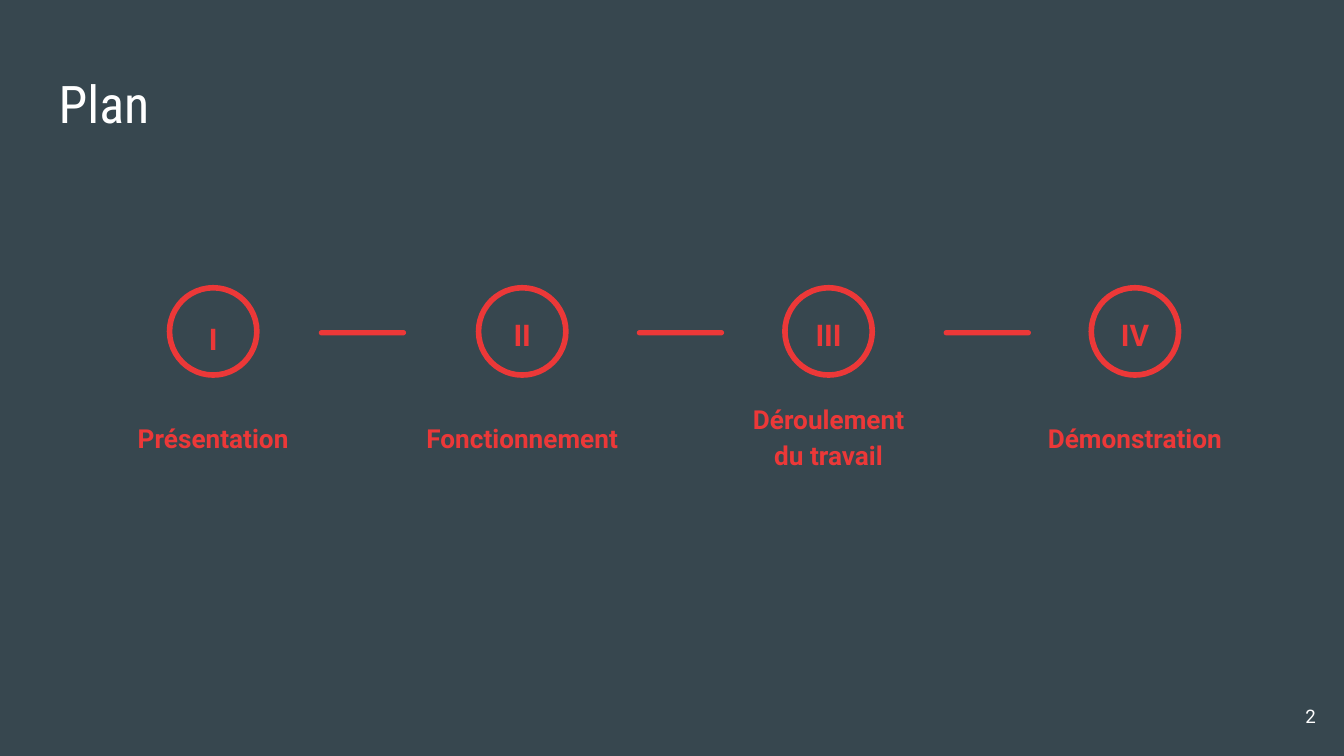
from dataclasses import dataclass

from pptx import Presentation
from pptx import util as u
from pptx.dml.color import RGBColor
from pptx.enum import shapes, text


@dataclass(frozen=True)
class Theme:
    background: RGBColor = RGBColor(0x37, 0x47, 0x4F)
    accent: RGBColor = RGBColor(0xEC, 0x38, 0x38)
    light: RGBColor = RGBColor(0xFF, 0xFF, 0xFF)
    title_size: float = 27.8
    numeral_size: float = 16
    label_size: float = 14
    page_size: float = 10


theme = Theme()


def write(sp, words, size, color, align, anchor, spacing, font="Roboto", bold=False):
    """Fill a text shape with one run, using equal insets on all sides."""
    tf = sp.text_frame
    tf.word_wrap = True
    tf.auto_size = text.MSO_AUTO_SIZE.NONE
    tf.vertical_anchor = anchor
    tf.margin_left = tf.margin_right = tf.margin_top = tf.margin_bottom = u.Cm(0.25)
    p = tf.paragraphs[0]
    p.alignment = align
    p.line_spacing = spacing
    r = p.add_run()
    r.text = words
    r.font.name = font
    r.font.size = u.Pt(size)
    r.font.bold = bold
    r.font.color.rgb = color


def centred(center, top, width, height):
    return u.Cm(center - width / 2), u.Cm(top), u.Cm(width), u.Cm(height)


prs = Presentation()
prs.slide_width, prs.slide_height = u.Cm(25.4), u.Cm(14.29)
s = prs.slides.add_slide(prs.slide_layouts[5])
s.background.fill.solid()
s.background.fill.fore_color.rgb = theme.background

# Title
title = s.shapes.title
title.left, title.top, title.width, title.height = u.Cm(0.86), u.Cm(1.24), u.Cm(23.67), u.Cm(1.6)
write(title, "Plan", theme.title_size, theme.light, text.PP_ALIGN.LEFT,
      text.MSO_ANCHOR.TOP, 0.9, font="Roboto Condensed")

# Steps: numeral, label, circle centre, numeral top, label width, label anchor
bottom, middle = text.MSO_ANCHOR.BOTTOM, text.MSO_ANCHOR.MIDDLE
steps = [
    ("I", "Présentation", 4.03, 5.72, 4.75, bottom),
    ("II", "Fonctionnement", 9.87, 5.64, 4.75, bottom),
    ("III", "Déroulement du travail", 15.66, 5.64, 3.4, middle),
    ("IV", "Démonstration", 21.45, 5.64, 4.75, bottom),
]
for numeral, label, center, numeral_top, label_width, anchor in steps:
    circle = s.shapes.add_shape(shapes.MSO_SHAPE.OVAL, *centred(center, 5.44, 1.65, 1.65))
    circle.shadow.inherit = False
    circle.fill.background()
    circle.line.color.rgb = theme.accent
    circle.line.width = u.Pt(3)

    numeral_box = s.shapes.add_textbox(*centred(center, numeral_top, 1.22, 1.12))
    write(numeral_box, numeral, theme.numeral_size, theme.accent, text.PP_ALIGN.CENTER,
          text.MSO_ANCHOR.TOP, 1.15, bold=True)
    numeral_box.text_frame.paragraphs[0].space_after = u.Pt(16)

    label_box = s.shapes.add_textbox(*centred(center, 7.59, label_width, 1.24))
    write(label_box, label, theme.label_size, theme.accent, text.PP_ALIGN.CENTER,
          anchor, 1.15, bold=True)

# Rounded dashes between the steps
for center in (6.85, 12.86, 18.66):
    dash = s.shapes.add_shape(shapes.MSO_SHAPE.ROUNDED_RECTANGLE, *centred(center, 6.24, 1.65, 0.1))
    dash.adjustments[0] = 0.5
    dash.shadow.inherit = False
    dash.fill.solid()
    dash.fill.fore_color.rgb = theme.accent
    dash.line.fill.background()

# Page number
page = s.shapes.add_textbox(u.Cm(23.6), u.Cm(13), u.Cm(1.52), u.Cm(1.09))
write(page, "2", theme.page_size, theme.light, text.PP_ALIGN.RIGHT, middle, 1.0)

prs.save("out.pptx")
